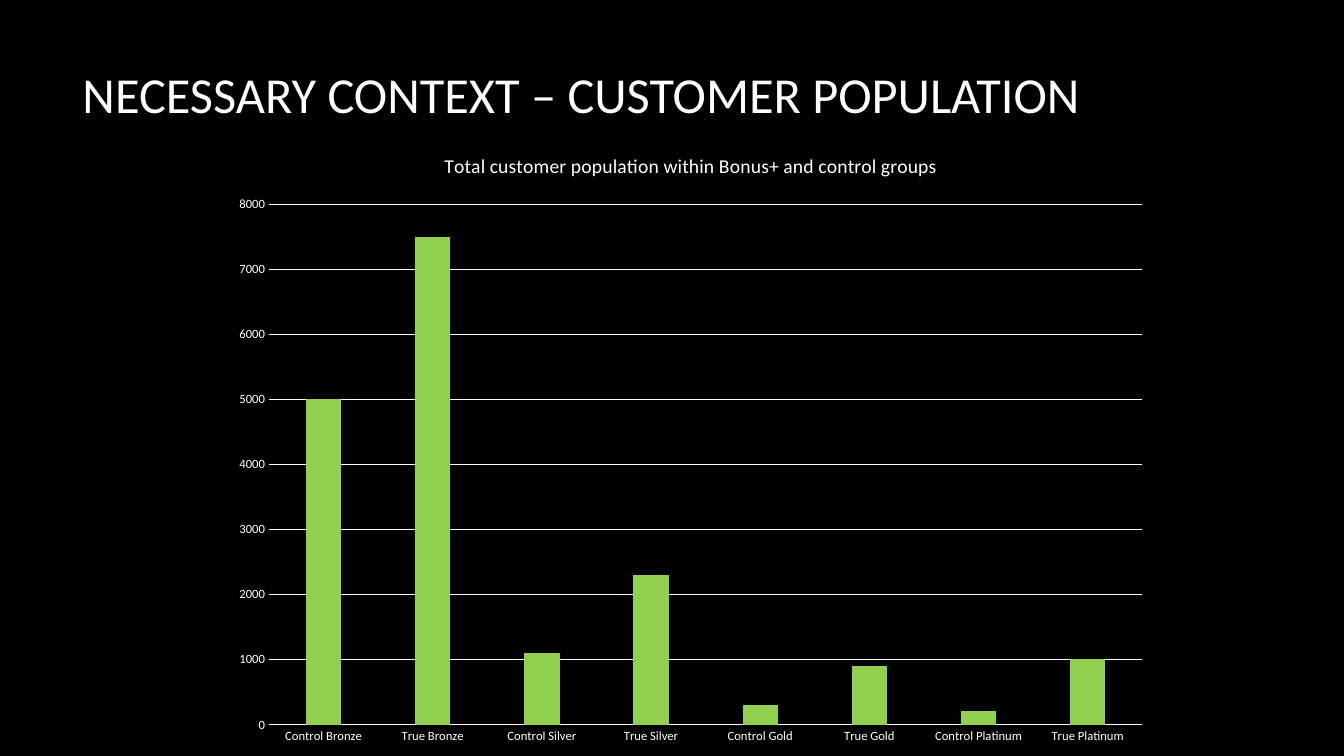
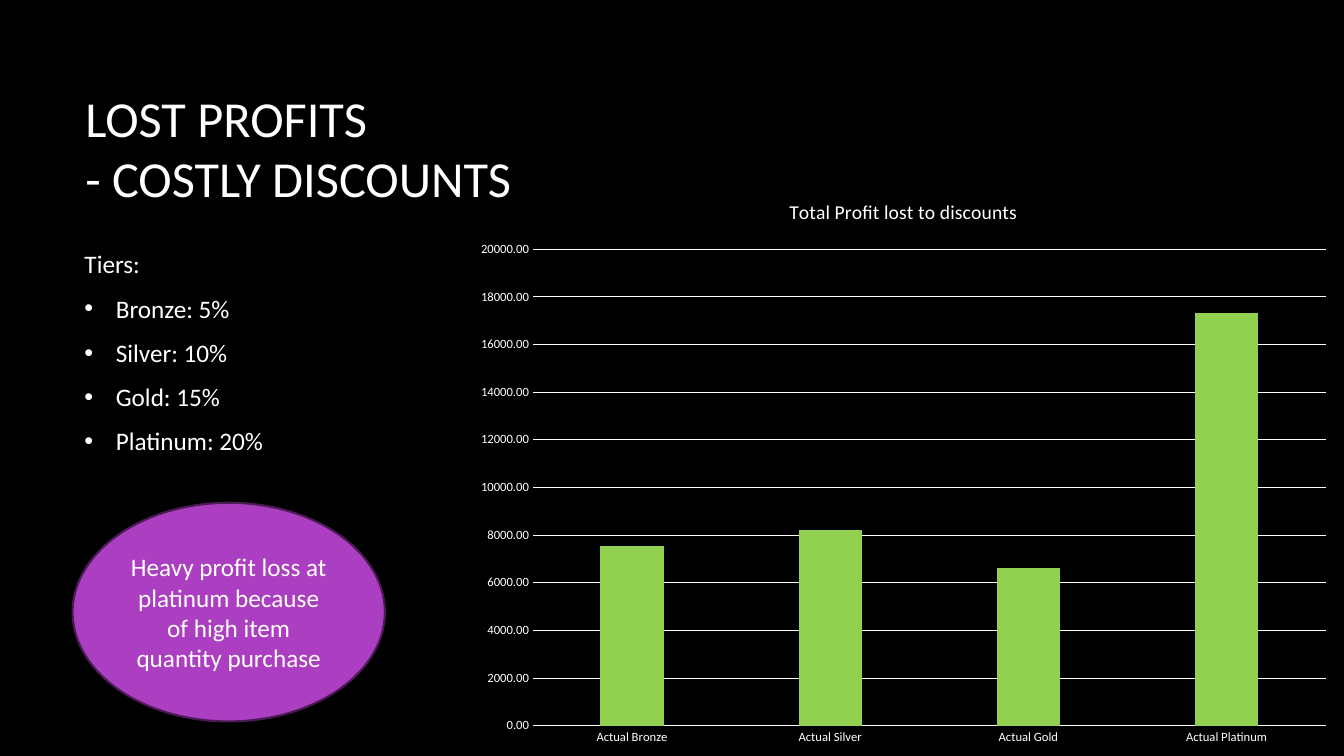
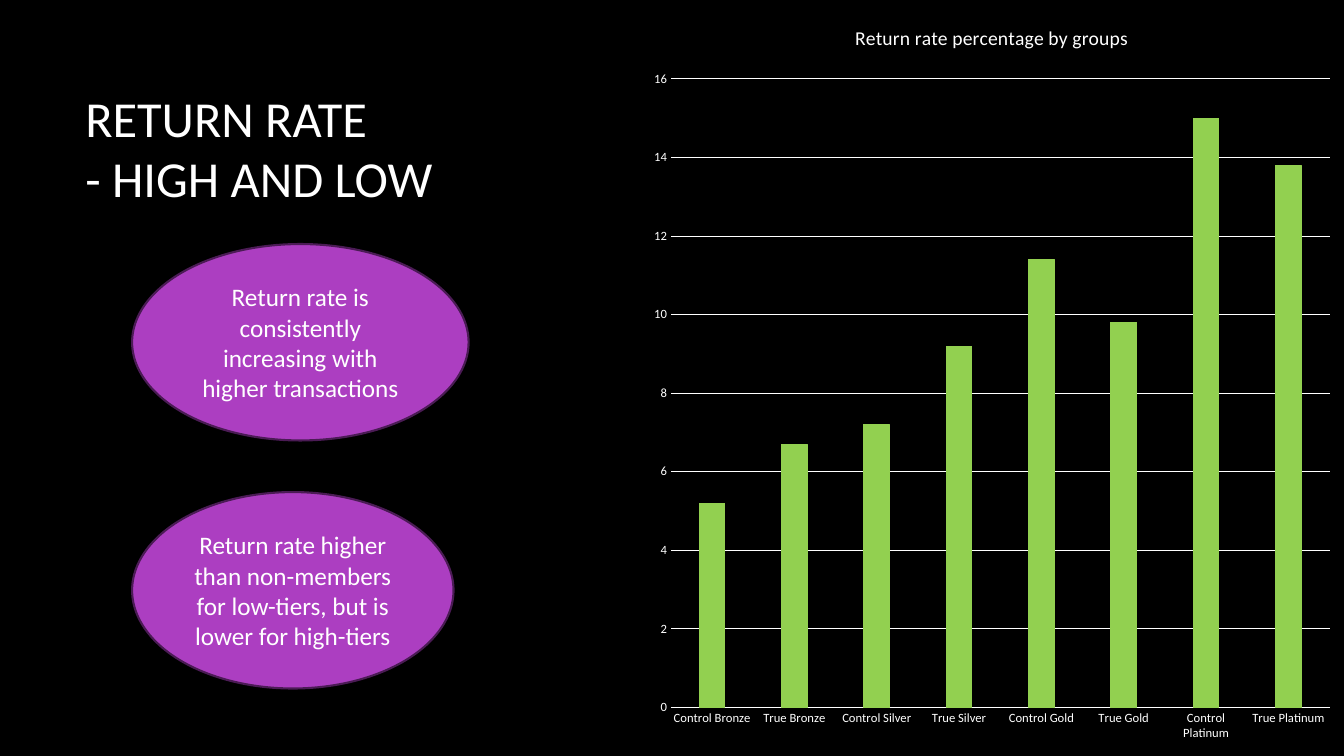
"""Build three black slides on customer tiers, discounts and return rates."""
import pptx
import pptx.chart.data
import pptx.dml.color
import pptx.enum.chart
import pptx.enum.shapes
import pptx.enum.text
import pptx.oxml
import pptx.oxml.ns
import pptx.util

Cm = pptx.util.Cm
Pt = pptx.util.Pt

FONT = "Calibri"
BLACK = "000000"
WHITE = "FFFFFF"
GREEN = "92D050"
PURPLE = "AC3EC1"
DARK_PURPLE = "4B1B55"
BULLET_INDENT = Cm(0.79)

TIERS = ["Bronze", "Silver", "Gold", "Platinum"]
GROUPS = [f"{group} {tier}" for tier in TIERS for group in ("Control", "True")]

SLIDES = [
    {
        "title": ["NECESSARY CONTEXT – CUSTOMER POPULATION"],
        "title_box": (1.83, 1.4, 29.92, 1.9),
        "chart_title": "Total customer population within Bonus+ and control groups",
        "chart_box": (5.56, 3.3, 23.7, 15.75),
        "categories": GROUPS,
        "values": [5000, 7500, 1100, 2300, 300, 900, 200, 1000],
        "scale": (8000, 1000, "General"),
        "tiers": [],
        "callouts": [],
    },
    {
        "title": ["LOST PROFITS", "- COSTLY DISCOUNTS"],
        "title_box": (1.9, 1.7, 28.14, 4.04),
        "chart_title": "Total Profit lost to discounts",
        "chart_box": (11.68, 4.47, 22.17, 14.58),
        "categories": [f"Actual {tier}" for tier in TIERS],
        "values": [7500, 8200, 6600, 17300],
        "scale": (20000, 2000, "0.00"),
        "tiers": [f"{tier}: {5 * rank}%" for rank, tier in enumerate(TIERS, 1)],
        "callouts": [
            ("Heavy profit loss at platinum because of high item quantity purchase",
             (1.83, 12.67, 7.87, 5.51)),
        ],
    },
    {
        "title": ["RETURN RATE", "- HIGH AND LOW"],
        "title_box": (1.9, 1.7, 28.14, 4.04),
        "chart_title": "Return rate percentage by groups",
        "chart_box": (16.13, 0, 17.73, 19.05),
        "categories": GROUPS,
        "values": [5.2, 6.7, 7.2, 9.2, 11.4, 9.8, 15, 13.8],
        "scale": (16, 2, "General"),
        "tiers": [],
        "callouts": [
            ("Return rate is consistently increasing with higher transactions",
             (3.33, 6.15, 8.48, 4.95)),
            ("Return rate higher than non-members for low-tiers, but is lower for high-tiers",
             (3.33, 12.4, 8.1, 4.95)),
        ],
    },
]


def paint(fill, color):
    """Make a fill solid in the given hex colour."""
    fill.solid()
    fill.fore_color.rgb = pptx.dml.color.RGBColor.from_string(color)


def write(frame, lines, size, alignment=pptx.enum.text.PP_ALIGN.LEFT):
    """Write one white paragraph per line, centred vertically."""
    frame.word_wrap = True
    frame.vertical_anchor = pptx.enum.text.MSO_ANCHOR.MIDDLE
    for index, line in enumerate(lines):
        paragraph = frame.add_paragraph() if index else frame.paragraphs[0]
        paragraph.alignment = alignment
        run = paragraph.add_run()
        run.text = line
        run.font.name = FONT
        run.font.size = Pt(size)
        run.font.bold = False
        paint(run.font.fill, WHITE)


presentation = pptx.Presentation()
presentation.slide_width = Cm(33.87)
presentation.slide_height = Cm(19.05)
paint(presentation.slide_master.background.fill, BLACK)
blank_layout = presentation.slide_layouts[6]

for content in SLIDES:
    slide = presentation.slides.add_slide(blank_layout)

    title_box = slide.shapes.add_textbox(*map(Cm, content["title_box"]))
    write(title_box.text_frame, content["title"], 36)

    chart_data = pptx.chart.data.CategoryChartData()
    chart_data.categories = content["categories"]
    chart_data.add_series(content["chart_title"], content["values"])
    chart = slide.shapes.add_chart(
        pptx.enum.chart.XL_CHART_TYPE.COLUMN_CLUSTERED,
        *map(Cm, content["chart_box"]), chart_data).chart
    chart.has_legend = False
    chart.font.name = FONT
    chart.font.size = Pt(10)
    paint(chart.font.fill, WHITE)
    chart.has_title = True
    chart.chart_title.include_in_layout = False
    write(chart.chart_title.text_frame, [content["chart_title"]], 14,
          pptx.enum.text.PP_ALIGN.CENTER)

    plot = chart.plots[0]
    plot.vary_by_categories = False
    plot.gap_width = 219
    plot.overlap = -27
    series = plot.series[0]
    paint(series.format.fill, GREEN)
    paint(series.format.line.fill, GREEN)
    series.format.line.width = Pt(0.75)

    for axis in (chart.category_axis, chart.value_axis):
        axis.major_tick_mark = pptx.enum.chart.XL_TICK_MARK.NONE
        axis.minor_tick_mark = pptx.enum.chart.XL_TICK_MARK.NONE
        axis.tick_labels.font.name = FONT
        axis.tick_labels.font.size = Pt(9)
        paint(axis.tick_labels.font.fill, WHITE)
    value_axis = chart.value_axis
    maximum, step, number_format = content["scale"]
    value_axis.minimum_scale = 0
    value_axis.maximum_scale = maximum
    value_axis.major_unit = step
    value_axis.tick_labels.number_format = number_format
    value_axis.tick_labels.number_format_is_linked = False
    value_axis.format.line.fill.background()
    value_axis.has_major_gridlines = True
    for line in (chart.category_axis.format.line, value_axis.major_gridlines.format.line):
        paint(line.fill, WHITE)
        line.width = Pt(0.75)

    if content["tiers"]:
        tier_box = slide.shapes.add_textbox(Cm(1.88), Cm(5.59), Cm(6.99), Cm(6.58))
        write(tier_box.text_frame, ["Tiers:"] + content["tiers"], 18)
        for index, paragraph in enumerate(tier_box.text_frame.paragraphs):
            paragraph.space_after = Pt(10)
            if index:
                properties = paragraph._p.get_or_add_pPr()
                properties.set("marL", str(BULLET_INDENT))
                properties.set("indent", str(-BULLET_INDENT))
                properties.append(pptx.oxml.parse_xml(
                    f'<a:buFont {pptx.oxml.ns.nsdecls("a")} typeface="Arial"/>'))
                properties.append(pptx.oxml.parse_xml(
                    f'<a:buChar {pptx.oxml.ns.nsdecls("a")} char="•"/>'))

    for message, box in content["callouts"]:
        callout = slide.shapes.add_shape(
            pptx.enum.shapes.MSO_SHAPE.OVAL, *map(Cm, box))
        callout.shadow.inherit = False
        paint(callout.fill, PURPLE)
        paint(callout.line.fill, DARK_PURPLE)
        callout.line.width = Pt(1.5)
        write(callout.text_frame, [message], 18, pptx.enum.text.PP_ALIGN.CENTER)

presentation.save("out.pptx")
